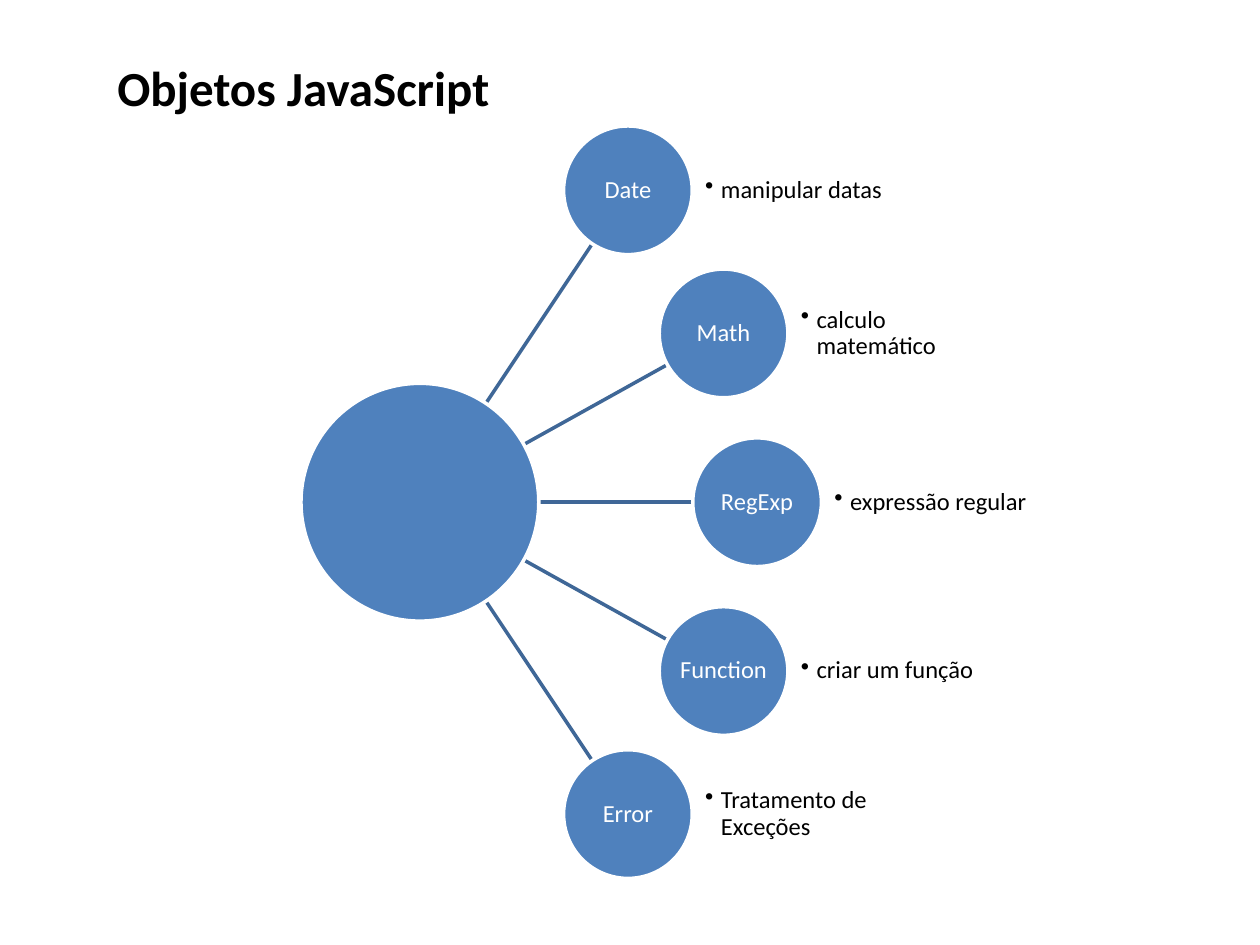
import math

from lxml import etree
from pptx import Presentation
from pptx.dml.color import RGBColor
from pptx.enum import shapes, text
from pptx.oxml import ns
from pptx.util import Pt

COLORS = {"disc": "4F81BD", "spoke": "3F6797", "white": "FFFFFF", "black": "000000"}
OBJECTS = [
    ("Date", "manipular datas"),
    ("Math", "calculo matemático"),
    ("RegExp", "expressão regular"),
    ("Function", "criar um função"),
    ("Error", "Tratamento de Exceções"),
]


def color(name):
    """Return the named palette colour."""
    return RGBColor.from_string(COLORS[name])


def write(holder, content, size=14, ink="black", bold=False, align="LEFT",
          margin=0, spacing=0.9, bullet=False, wrap=True):
    """Fill a shape with one formatted paragraph."""
    frame = holder.text_frame
    frame.word_wrap = wrap
    frame.vertical_anchor = text.MSO_ANCHOR.MIDDLE
    frame.margin_left = frame.margin_right = Pt(margin)
    frame.margin_top = frame.margin_bottom = Pt(margin / 2)
    paragraph = frame.paragraphs[0]
    paragraph.text = content
    paragraph.alignment = getattr(text.PP_ALIGN, align)
    paragraph.line_spacing = spacing
    if bullet:
        properties = paragraph._p.get_or_add_pPr()
        properties.set("marL", str(Pt(9)))
        properties.set("indent", str(Pt(-9)))
        etree.SubElement(properties, ns.qn("a:buChar"), char="•")
    font = paragraph.font
    font.name, font.size, font.bold = "Calibri", Pt(size), bold
    font.color.rgb = color(ink)


def add_disc(slide, x, y, diameter):
    """Draw a white-rimmed disc centred on a point."""
    disc = slide.shapes.add_shape(
        shapes.MSO_SHAPE.OVAL, Pt(x - diameter / 2), Pt(y - diameter / 2),
        Pt(diameter), Pt(diameter))
    disc.shadow.inherit = False
    disc.fill.solid()
    disc.fill.fore_color.rgb = color("disc")
    disc.line.color.rgb = color("white")
    disc.line.width = Pt(2)
    return disc


def add_spoke(slide, hub, node, node_radius):
    """Join the hub to the rim of a node."""
    dx, dy = node[0] - hub[0], node[1] - hub[1]
    end = 1 - node_radius / math.hypot(dx, dy)
    ends = [Pt(value) for share in (0.24, end)
            for value in (hub[0] + share * dx, hub[1] + share * dy)]
    spoke = slide.shapes.add_connector(shapes.MSO_CONNECTOR.STRAIGHT, *ends)
    spoke.line.color.rgb = color("spoke")
    spoke.line.width = Pt(2)
    etree.SubElement(spoke._element.spPr, ns.qn("a:effectLst"))


def add_title(slide, left, top, width, height):
    """Place the slide title."""
    title = slide.shapes.add_textbox(Pt(left), Pt(top), Pt(width), Pt(height))
    write(title, "Objetos JavaScript", size=28, bold=True, margin=7.2, spacing=1)


def add_radial(slide, left, top, height):
    """Fan the objects out from a hub along a quarter-circle arc."""
    node_size, hub_size = 0.171 * height, 0.316 * height
    orbit = (height - node_size) / 2 / math.sin(math.pi / 4)
    middle = top + height / 2
    hub = (left + hub_size / 2, middle)
    orbit_x = hub[0] - 0.138 * height
    step = math.pi / 2 / (len(OBJECTS) - 1)
    angles = [-math.pi / 4 + i * step for i in range(len(OBJECTS))]
    nodes = [(orbit_x + orbit * math.cos(a), middle + orbit * math.sin(a)) for a in angles]

    for node in nodes:
        add_spoke(slide, hub, node, node_size / 2)
    add_disc(slide, *hub, hub_size)
    for (x, y), (name, purpose) in zip(nodes, OBJECTS):
        write(add_disc(slide, x, y, node_size), name, ink="white", align="CENTER", wrap=False)
        note = slide.shapes.add_textbox(
            Pt(x + 0.6 * node_size), Pt(y - node_size / 2),
            Pt(1.5 * node_size), Pt(node_size))
        write(note, purpose, bullet=True)


def main():
    """Build and save the slide."""
    deck = Presentation()
    deck.slide_width, deck.slide_height = Pt(720), Pt(540)
    slide = deck.slides.add_slide(deck.slide_layouts[6])
    add_title(slide, 60, 21, 640, 57)
    add_radial(slide, 172, 72, 430)
    deck.save("out.pptx")


if __name__ == "__main__":
    main()
